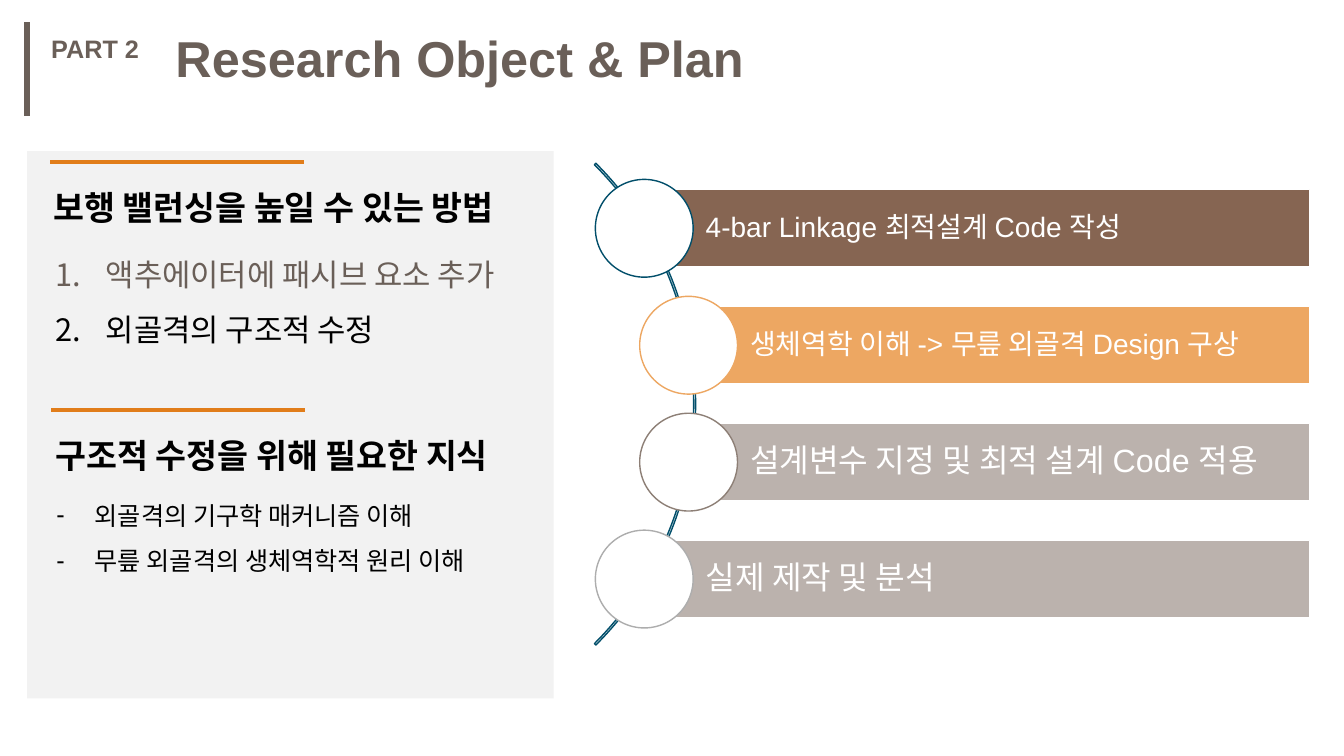
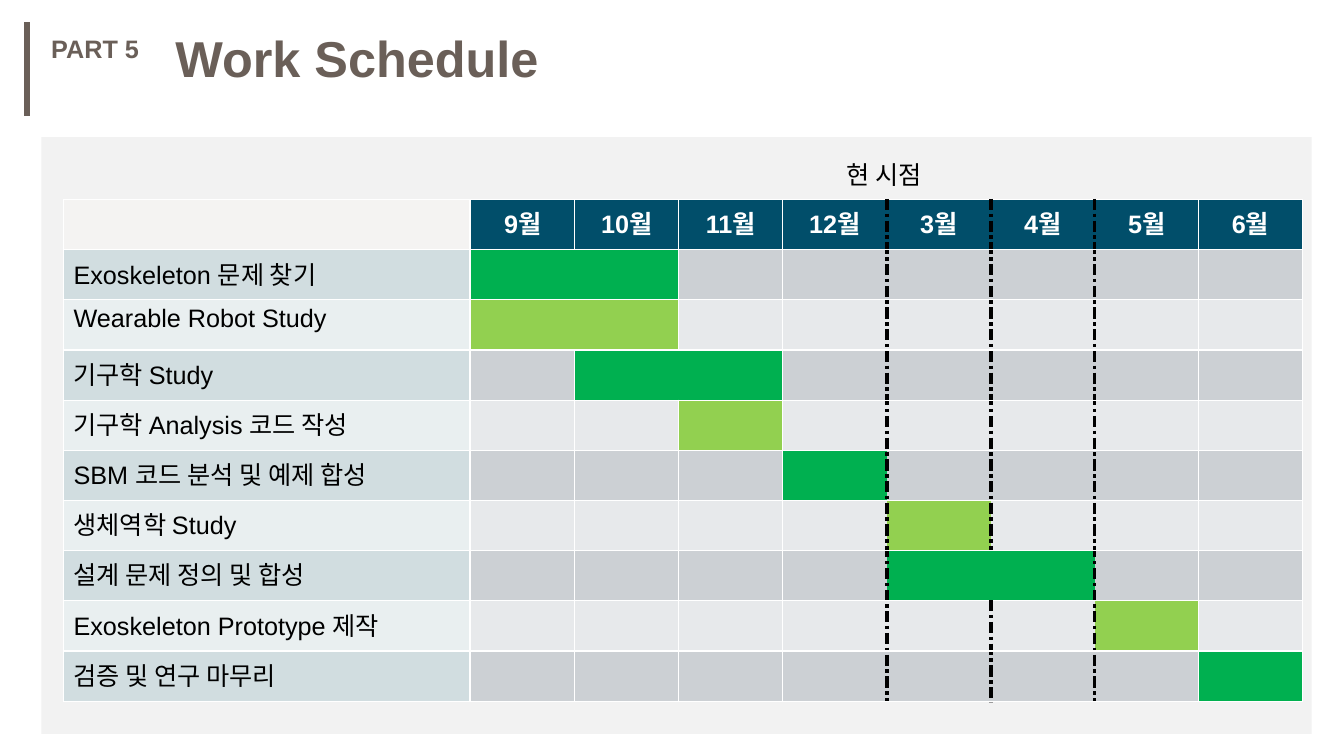
from lxml import etree
from pptx import Presentation
from pptx import util as u
from pptx.dml.color import RGBColor
from pptx.enum import shapes, text
from pptx.oxml import ns

SCALE = 9144
FONT = "Arial"
TAUPE, ORANGE, NAVY = "6A5F58", "E17D1A", "014E6A"
PANEL, WHITE, BLACK = "F2F2F2", "FFFFFF", "000000"

PLAN_HEADER = ("PART 2", "Research Object & Plan", (27, 150, 522, 543))
TOPICS = [
    {"heading": "보행 밸런싱을 높일 수 있는 방법", "rule": (50, 161), "heading_at": (43, 181),
     "list_at": (45, 230, 487, 115), "size": 22, "indent": 50,
     "bullet": ("buAutoNum", {"type": "arabicPeriod"}),
     "points": [("액추에이터에 패시브 요소 추가", TAUPE), ("외골격의 구조적 수정", BLACK)]},
    {"heading": "구조적 수정을 위해 필요한 지식", "rule": (51, 407), "heading_at": (45, 427),
     "list_at": (46, 476, 487, 186), "size": 18, "indent": 38,
     "bullet": ("buChar", {"char": "-"}),
     "points": [("외골격의 기구학 매커니즘 이해", BLACK),
                ("무릎 외골격의 생체역학적 원리 이해", BLACK)]},
]
STEPS = [
    ("4-bar Linkage 최적설계 Code 작성", 20, 639, "866552", NAVY),
    ("생체역학 이해 -> 무릎 외골격 Design 구상", 20, 683, "EDA762", "EDA762"),
    ("설계변수 지정 및 최적 설계 Code 적용", 23, 683, "BBB2AD", "8D7F76"),
    ("실제 제작 및 분석", 23, 639, "BBB2AD", "ADADAD"),
]
STEP_TOP, STEP_PITCH, STEP_HEIGHT, STEP_RIGHT, CIRCLE = 188, 116, 77, 1299, 97

SCHEDULE_HEADER = ("PART 5", "Work Schedule", (41, 136, 1260, 592))
MONTHS = ["9월", "10월", "11월", "12월", "3월", "4월", "5월", "6월"]
TASKS = [
    ("Exoskeleton 문제 찾기", 0, 2),
    ("Wearable Robot Study", 0, 2),
    ("기구학 Study", 1, 2),
    ("기구학 Analysis 코드 작성", 2, 1),
    ("SBM 코드 분석 및 예제 합성", 3, 1),
    ("생체역학 Study", 4, 1),
    ("설계 문제 정의 및 합성", 4, 2),
    ("Exoskeleton Prototype 제작", 6, 1),
    ("검증 및 연구 마무리", 7, 1),
]
NOW_EDGES = (4, 5)
BAR_COLORS = ("00B050", "92D050")
MONTH_COLORS = ("CCD0D4", "E7E9EB")
TASK_COLORS = ("D1DDE0", "E9EFF0")


def px(*lengths):
    return [u.Emu(round(length * SCALE)) for length in lengths]


def rgb(value):
    return RGBColor.from_string(value)


def paint(part, value):
    part.fill.solid()
    part.fill.fore_color.rgb = rgb(value)


def style(paragraph, size, color, bold=False):
    font = paragraph.font
    font.name, font.size, font.bold = FONT, u.Pt(size), bold
    font.color.rgb = rgb(color)


def add_shape(slide, kind, place, fill=None, line=None):
    shape = slide.shapes.add_shape(kind, *px(*place))
    shape.shadow.inherit = False
    if fill:
        paint(shape, fill)
    else:
        shape.fill.background()
    if line:
        shape.line.color.rgb, shape.line.width = rgb(line), u.Pt(1)
    else:
        shape.line.fill.background()
    return shape


def add_line(slide, ends, color, width):
    line = slide.shapes.add_connector(shapes.MSO_CONNECTOR.STRAIGHT, *px(*ends))
    line.line.color.rgb, line.line.width = rgb(color), u.Pt(width)
    etree.SubElement(line._element.spPr, ns.qn("a:effectLst"))


def set_text(box, place, words, size, color, bold=False, wrap=True):
    box.left, box.top, box.width, box.height = px(*place)
    frame = box.text_frame
    frame.word_wrap = wrap
    frame.auto_size = text.MSO_AUTO_SIZE.NONE
    frame.vertical_anchor = text.MSO_ANCHOR.TOP
    paragraph = frame.paragraphs[0]
    paragraph.text = words
    paragraph.alignment = text.PP_ALIGN.LEFT
    style(paragraph, size, color, bold)


def add_text(slide, place, *content, **options):
    set_text(slide.shapes.add_textbox(*px(*place)), place, *content, **options)


def start_slide(deck, layout, header):
    part, title, panel_at = header
    slide = deck.slides.add_slide(deck.slide_layouts[layout])
    panel = add_shape(slide, shapes.MSO_SHAPE.RECTANGLE, panel_at, PANEL)
    slide.shapes._spTree.insert(2, panel._element)
    add_line(slide, (27, 22, 27, 115), TAUPE, 4.5)
    add_text(slide, (41, 28, 108, 40), part, 18, TAUPE, bold=True, wrap=False)
    set_text(slide.shapes.title, (164, 22, 590, 71), title, 36, TAUPE, bold=True, wrap=False)
    return slide


def fill_list(body, topic):
    body.left, body.top, body.width, body.height = px(*topic["list_at"])
    frame = body.text_frame
    frame.auto_size = text.MSO_AUTO_SIZE.NONE
    indent, = px(topic["indent"])
    tag, attributes = topic["bullet"]
    for index, (words, color) in enumerate(topic["points"]):
        point = frame.add_paragraph() if index else frame.paragraphs[0]
        point.text = words
        point.alignment = text.PP_ALIGN.JUSTIFY
        point.line_spacing = 1.5
        point.space_before = u.Pt(0)
        properties = point._p.get_or_add_pPr()
        properties.set("marL", str(indent))
        properties.set("indent", str(-indent))
        etree.SubElement(properties, ns.qn("a:buFont"), typeface=FONT)
        etree.SubElement(properties, ns.qn("a:" + tag), attributes)
        style(point, topic["size"], color)


def add_step(slide, index, step):
    words, size, left, fill, ring = step
    top = STEP_TOP + index * STEP_PITCH
    bar = add_shape(slide, shapes.MSO_SHAPE.RECTANGLE,
                    (left, top, STEP_RIGHT - left, STEP_HEIGHT), fill, WHITE)
    frame = bar.text_frame
    frame.word_wrap = True
    frame.margin_left, frame.margin_top, frame.margin_right, frame.margin_bottom = px(61, 6, 6, 6)
    frame.vertical_anchor = text.MSO_ANCHOR.MIDDLE
    label = frame.paragraphs[0]
    label.text = words
    label.alignment = text.PP_ALIGN.LEFT
    label.line_spacing = 0.9
    style(label, size, WHITE)
    add_shape(slide, shapes.MSO_SHAPE.OVAL,
              (left - CIRCLE / 2, top + (STEP_HEIGHT - CIRCLE) / 2, CIRCLE, CIRCLE), WHITE, ring)


def build_plan(deck):
    slide = start_slide(deck, 3, PLAN_HEADER)
    arc = add_shape(slide, shapes.MSO_SHAPE.BLOCK_ARC, (14, 63, 676, 676), line=NAVY)
    for index, value in enumerate((189, 27, 0.003)):
        arc.adjustments[index] = value
    for index, step in enumerate(STEPS):
        add_step(slide, index, step)
    for index, topic in enumerate(TOPICS, 1):
        left, top = topic["rule"]
        add_line(slide, (left, top, left + 252, top), ORANGE, 3)
        add_text(slide, (*topic["heading_at"], 508, 50), topic["heading"], 24, BLACK, bold=True)
        fill_list(slide.placeholders[index], topic)


def add_grid(slide, place, columns):
    rows = len(TASKS) + 1
    grid = slide.shapes.add_table(rows, columns, *px(*place)).table
    for column in grid.columns:
        column.width, = px(place[2] / columns)
    for row in grid.rows:
        row.height, = px(place[3] / rows)
    return grid


def fill_cell(cell, fill, words="", color=BLACK, bold=False, align=text.PP_ALIGN.LEFT):
    paint(cell, fill)
    paragraph = cell.text_frame.paragraphs[0]
    paragraph.text = words
    paragraph.alignment = align
    style(paragraph, 18, color, bold)


def dash_border(cell, side):
    border = etree.SubElement(cell._tc.get_or_add_tcPr(), ns.qn("a:" + side), w=str(u.Pt(3)))
    solid = etree.SubElement(border, ns.qn("a:solidFill"))
    etree.SubElement(solid, ns.qn("a:srgbClr"), val=BLACK)
    etree.SubElement(border, ns.qn("a:prstDash"), val="sysDashDot")


def mark_now(grid, row, start=0, length=0):
    end = start + length
    edges = [end if start < edge < end else edge for edge in NOW_EDGES]
    for month in range(len(MONTHS)):
        right = end if length and month == start else month + 1
        for side, edge in (("lnL", month), ("lnR", right)):
            if edge in edges:
                dash_border(grid.cell(row, month), side)


def build_schedule(deck):
    slide = start_slide(deck, 5, SCHEDULE_HEADER)
    calendar = add_grid(slide, (467, 198, 825, 498), len(MONTHS))
    names = add_grid(slide, (63, 198, 403, 498), 1)
    mark_now(calendar, 0)
    for month, words in enumerate(MONTHS):
        fill_cell(calendar.cell(0, month), NAVY, words, WHITE, True, text.PP_ALIGN.CENTER)
    fill_cell(names.cell(0, 0), "F4F3F2")
    for row, (task, start, length) in enumerate(TASKS, 1):
        band = (row - 1) % 2
        fill_cell(names.cell(row, 0), TASK_COLORS[band], task)
        mark_now(calendar, row, start, length)
        for month in range(len(MONTHS)):
            busy = start <= month < start + length
            fill_cell(calendar.cell(row, month), (BAR_COLORS if busy else MONTH_COLORS)[band])
        if length > 1:
            calendar.cell(row, start).merge(calendar.cell(row, start + length - 1))
    add_text(slide, (830, 153, 104, 40), "현 시점", 18, BLACK)


def main():
    deck = Presentation()
    deck.slide_width, deck.slide_height = px(1333, 750)
    build_plan(deck)
    build_schedule(deck)
    deck.save("out.pptx")


if __name__ == "__main__":
    main()
